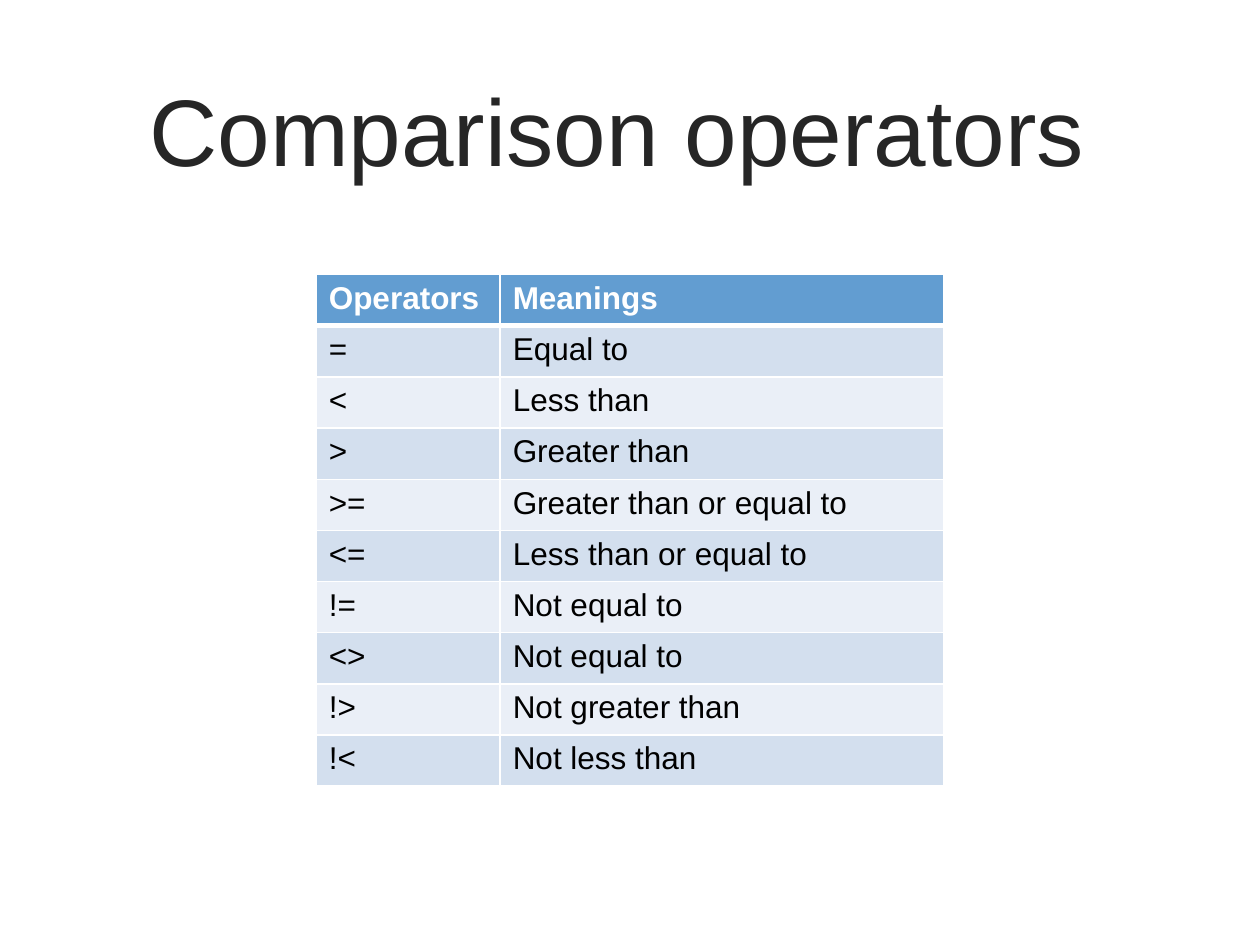
from lxml.etree import SubElement
from pptx import Presentation
from pptx.dml.color import RGBColor
from pptx.enum.text import MSO_ANCHOR, PP_ALIGN
from pptx.oxml.ns import qn
from pptx.util import Inches, Pt

TITLE = "Comparison operators"
ROWS = [
    ("Operators", "Meanings"),
    ("=", "Equal to"),
    ("<", "Less than"),
    (">", "Greater than"),
    (">=", "Greater than or equal to"),
    ("<=", "Less than or equal to"),
    ("!=", "Not equal to"),
    ("<>", "Not equal to"),
    ("!>", "Not greater than"),
    ("!<", "Not less than"),
]
COL_WIDTHS = (1.46, 3.52)
ROW_HEIGHT = 0.406
FONT = "Arial"
WHITE = RGBColor(0xFF, 0xFF, 0xFF)
BLACK = RGBColor(0x00, 0x00, 0x00)
TITLE_GRAY = RGBColor(0x26, 0x26, 0x26)
HEADER_BLUE = RGBColor(0x62, 0x9D, 0xD1)
BANDS = (RGBColor(0xEA, 0xEF, 0xF7), RGBColor(0xD3, 0xDF, 0xEE))


def style_run(r, size, color, bold=False):
    r.font.name = FONT
    r.font.size = Pt(size)
    r.font.bold = bold
    r.font.color.rgb = color


def set_borders(cell, top, bottom):
    tc_pr = cell._tc.get_or_add_tcPr()
    for tag, width in (("a:lnL", 1), ("a:lnR", 1), ("a:lnT", top), ("a:lnB", bottom)):
        ln = SubElement(tc_pr, qn(tag), w=str(Pt(width)))
        fill = SubElement(ln, qn("a:solidFill"))
        SubElement(fill, qn("a:srgbClr"), val=str(WHITE))


def add_title(s):
    sp = s.shapes.title
    sp.left, sp.top = Inches(0.29), Inches(0.45)
    sp.width, sp.height = Inches(9.21), Inches(1.14)
    tf = sp.text_frame
    tf.text = TITLE
    tf.vertical_anchor = MSO_ANCHOR.MIDDLE
    p = tf.paragraphs[0]
    p.alignment = PP_ALIGN.CENTER
    style_run(p.runs[0], 54, TITLE_GRAY)


def add_operator_table(s):
    table = s.shapes.add_table(
        len(ROWS), len(COL_WIDTHS), Inches(2.51), Inches(2.18),
        Inches(sum(COL_WIDTHS)), Inches(ROW_HEIGHT * len(ROWS))).table
    for column, width in zip(table.columns, COL_WIDTHS):
        column.width = Inches(width)
    for i, texts in enumerate(ROWS):
        header = i == 0
        for j, text in enumerate(texts):
            cell = table.cell(i, j)
            cell.text_frame.text = text
            style_run(cell.text_frame.paragraphs[0].runs[0], 18,
                      WHITE if header else BLACK, header)
            set_borders(cell, 3 if i == 1 else 1, 3 if header else 1)
            cell.fill.solid()
            cell.fill.fore_color.rgb = HEADER_BLUE if header else BANDS[i % 2]


def main():
    prs = Presentation()
    prs.slide_width, prs.slide_height = Inches(10), Inches(7.5)
    s = prs.slides.add_slide(prs.slide_layouts[5])
    add_title(s)
    add_operator_table(s)
    prs.save("out.pptx")


if __name__ == "__main__":
    main()
